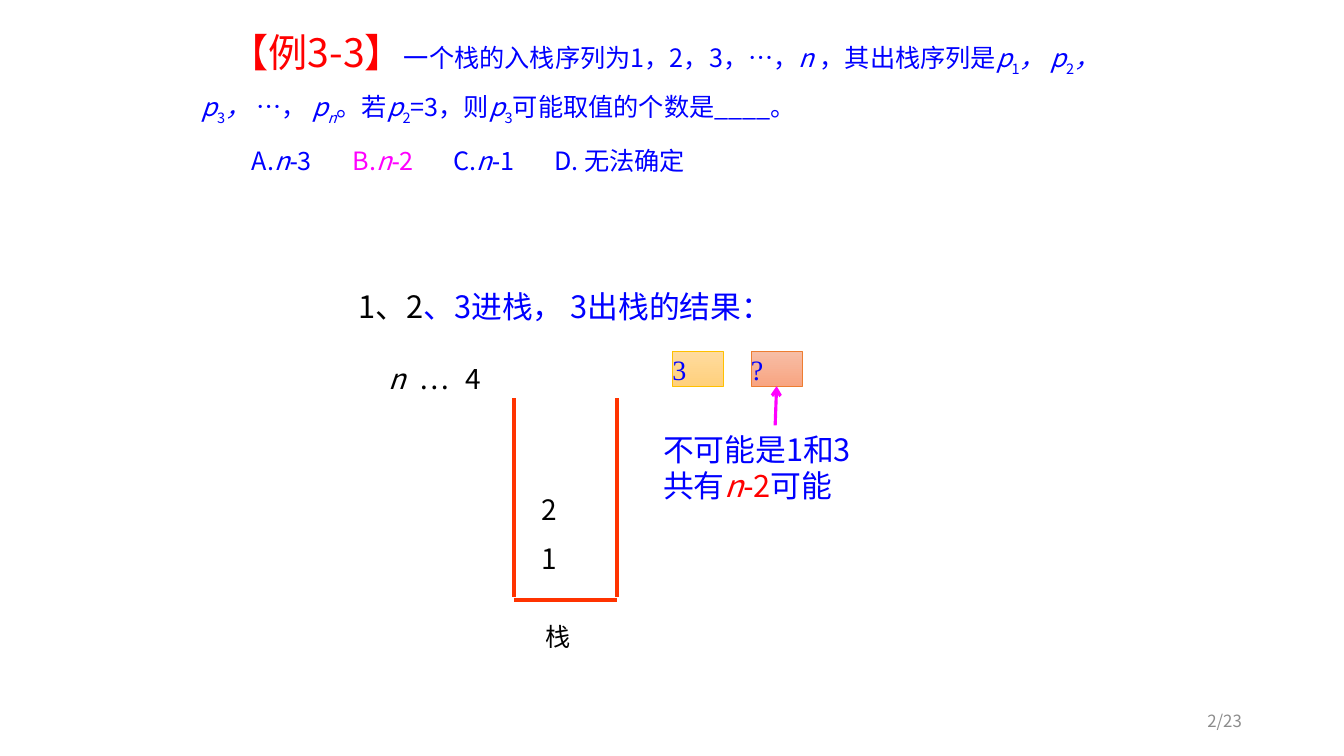
from lxml import etree
from pptx import Presentation
from pptx.dml.color import RGBColor
from pptx.enum.shapes import MSO_CONNECTOR, MSO_SHAPE
from pptx.enum.text import MSO_ANCHOR, MSO_AUTO_SIZE, PP_ALIGN
from pptx.oxml.ns import qn
from pptx.util import Pt

STRAIGHT = MSO_CONNECTOR.STRAIGHT
RECTANGLE = MSO_SHAPE.RECTANGLE
MIDDLE = MSO_ANCHOR.MIDDLE
GROW = MSO_AUTO_SIZE.SHAPE_TO_FIT_TEXT
LEFT, RIGHT = PP_ALIGN.LEFT, PP_ALIGN.RIGHT

BLACK = RGBColor(0x00, 0x00, 0x00)
BLUE = RGBColor(0x00, 0x00, 0xFF)
RED = RGBColor(0xFF, 0x00, 0x00)
MAGENTA = RGBColor(0xFF, 0x00, 0xFF)
STACK_RED = RGBColor(0xFF, 0x33, 0x00)
GRAY = RGBColor(0x8C, 0x8C, 0x8C)
GOLD = RGBColor(0xFF, 0xC0, 0x00)
GOLD_TOP = RGBColor(0xFF, 0xDB, 0x9E)
GOLD_BOTTOM = RGBColor(0xFF, 0xD0, 0x7C)
ORANGE = RGBColor(0xED, 0x7D, 0x31)
ORANGE_TOP = RGBColor(0xF7, 0xBD, 0xA5)
ORANGE_BOTTOM = RGBColor(0xF8, 0xA5, 0x82)

MAIN_FONT = "Noto Sans CJK SC"
ITALIC = {"italic": True}
SUBSCRIPT = {"baseline": -25000}
ITALIC_SUBSCRIPT = {**ITALIC, **SUBSCRIPT}
MINUS = {"font": "Arial"}

presentation = Presentation()
presentation.slide_width = Pt(960)
presentation.slide_height = Pt(540)
slide = presentation.slides.add_slide(presentation.slide_layouts[6])


def write_text(shape, paragraphs, size=20, color=BLACK, font=MAIN_FONT, inset=None,
               align=LEFT, line_spacing=None, indents=(), tabs=()):
    """Fill a shape; each paragraph is a list of (text, run format) pairs."""
    frame = shape.text_frame
    frame.word_wrap = True
    frame.auto_size = GROW
    if inset is not None:
        frame.margin_left = frame.margin_right = Pt(inset)
        frame.margin_top = frame.margin_bottom = Pt(inset)
    for index, runs in enumerate(paragraphs):
        paragraph = frame.add_paragraph() if index else frame.paragraphs[0]
        properties = paragraph._p.get_or_add_pPr()
        if indents:
            properties.set("marL", "0")
            properties.set("indent", str(Pt(indents[index])))
        if tabs:
            tab_list = etree.SubElement(properties, qn("a:tabLst"))
            for position in tabs:
                etree.SubElement(tab_list, qn("a:tab"), pos=str(Pt(position)), algn="l")
        paragraph.alignment = align
        if line_spacing:
            paragraph.line_spacing = Pt(line_spacing)
        for text, style in runs:
            run = paragraph.add_run()
            run.text = text
            run.font.size = Pt(style.get("size", size))
            run.font.color.rgb = style.get("color", color)
            run.font.italic = style.get("italic", False)
            run.font.name = style.get("font", font)
            run_properties = run._r.get_or_add_rPr()
            etree.SubElement(run_properties, qn("a:ea"), typeface=run.font.name)
            if "baseline" in style:
                run_properties.set("baseline", str(style["baseline"]))


def add_line(start, end, color, width):
    line = slide.shapes.add_connector(STRAIGHT, *(Pt(value) for value in start + end))
    line.line.color.rgb = color
    line.line.width = Pt(width)
    etree.SubElement(line._element.spPr, qn("a:effectLst"))
    return line


# Question with its four choices
question = [
    ("【例3-3】", {"size": 28, "color": RED}),
    ("一个栈的入栈序列为1，2，3，…，", {}), ("n ", ITALIC),
    ("，其出栈序列是", {}), ("p", ITALIC), ("1", SUBSCRIPT),
    ("， p", ITALIC), ("2", SUBSCRIPT), ("，p", ITALIC), ("3", SUBSCRIPT),
    ("， ", ITALIC), ("…， ", {}), ("p", ITALIC), ("n", ITALIC_SUBSCRIPT),
    ("。若", {}), ("p", ITALIC), ("2", SUBSCRIPT),
    ("=3，则", {}), ("p", ITALIC), ("3", SUBSCRIPT),
    ("可能取值的个数是____。", {}),
]
choices = []
for letter, number, color in [("A.", "3\t", BLUE), ("B.", "2\t", MAGENTA),
                              ("C.", "1\tD. 无法确定", BLUE)]:
    choices += [(letter, {"color": color}), ("n", {"color": color, **ITALIC}),
                ("-", {"color": color, **MINUS}), (number, {"color": color})]
question_box = slide.shapes.add_textbox(Pt(136.8), Pt(16.5), Pt(680.4), Pt(108.7))
write_text(question_box, [question, choices], size=18, color=BLUE, line_spacing=35,
           indents=(20, 36), tabs=(124, 207.5, 296))

# Stack: two walls and a floor
WALL_LEFT, WALL_RIGHT, WALL_TOP = 367, 440.6, 284.4
for wall in (WALL_LEFT, WALL_RIGHT):
    add_line((wall, WALL_TOP), (wall, 426.2), STACK_RED, 3)
add_line((WALL_LEFT, 428.4), (WALL_RIGHT, 428.4), STACK_RED, 3)

# Stack contents, stack name and waiting input
for left, top, width, height, size, runs, tabs in [
    (386.6, 352, 36.7, 24.5, 20, [("2", {})], ()),
    (386.6, 386.6, 36.7, 24.5, 20, [("1", {})], ()),
    (389.5, 443.5, 33.8, 21.6, 18, [("栈", {})], ()),
    (277.2, 258.5, 78.5, 24.5, 20, [("n", ITALIC), ("\t…\t4", {})], (22.5, 55.5)),
]:
    label = slide.shapes.add_textbox(Pt(left), Pt(top), Pt(width), Pt(height))
    write_text(label, [runs], size=size, inset=0, tabs=tabs)

# Popped elements
for left, text, top_color, bottom_color, line_color in [
    (480.2, "3", GOLD_TOP, GOLD_BOTTOM, GOLD),
    (536.4, "?", ORANGE_TOP, ORANGE_BOTTOM, ORANGE),
]:
    popped = slide.shapes.add_shape(RECTANGLE, Pt(left), Pt(251.3), Pt(36.7), Pt(24.5))
    popped.shadow.inherit = False
    popped.fill.gradient()
    popped.fill.gradient_angle = 270
    for stop, color in zip(popped.fill.gradient_stops, (top_color, bottom_color)):
        stop.color.rgb = color
    popped.line.color.rgb = line_color
    popped.line.width = Pt(0.5)
    write_text(popped, [[(text, {})]], color=BLUE, font="Times New Roman", inset=0)

# Arrow from the explanation to the unknown element
arrow = add_line((553.7, 303.8), (554.7, 275.8), MAGENTA, 2.25)
arrow.end_connect(popped, 2)
etree.SubElement(arrow.line._get_or_add_ln(), qn("a:tailEnd"), type="arrow")

# Explanation and heading of the drawing
explanation = slide.shapes.add_textbox(Pt(466.6), Pt(303.8), Pt(174.2), Pt(60.5))
write_text(explanation, [
    [("不可能是1和3", {})],
    [("共有", {}), ("n", {"color": RED, **ITALIC}), ("-", {"color": RED, **MINUS}),
     ("2", {"color": RED}), ("可能", {})],
], size=22, color=BLUE)
heading = slide.shapes.add_textbox(Pt(249.1), Pt(202.3), Pt(315.4), Pt(33.8))
write_text(heading, [[("1、2", {"color": BLACK}), ("、3进栈， 3出栈的结果：", {})]],
           size=22, color=BLUE)

# Page number
page_number = slide.shapes.add_textbox(Pt(678.2), Pt(500.4), Pt(216), Pt(28.8))
write_text(page_number, [[("2/23", {})]], size=12, color=GRAY, align=RIGHT)
page_number.text_frame.auto_size = MSO_AUTO_SIZE.NONE
page_number.text_frame.vertical_anchor = MIDDLE

presentation.save("out.pptx")
